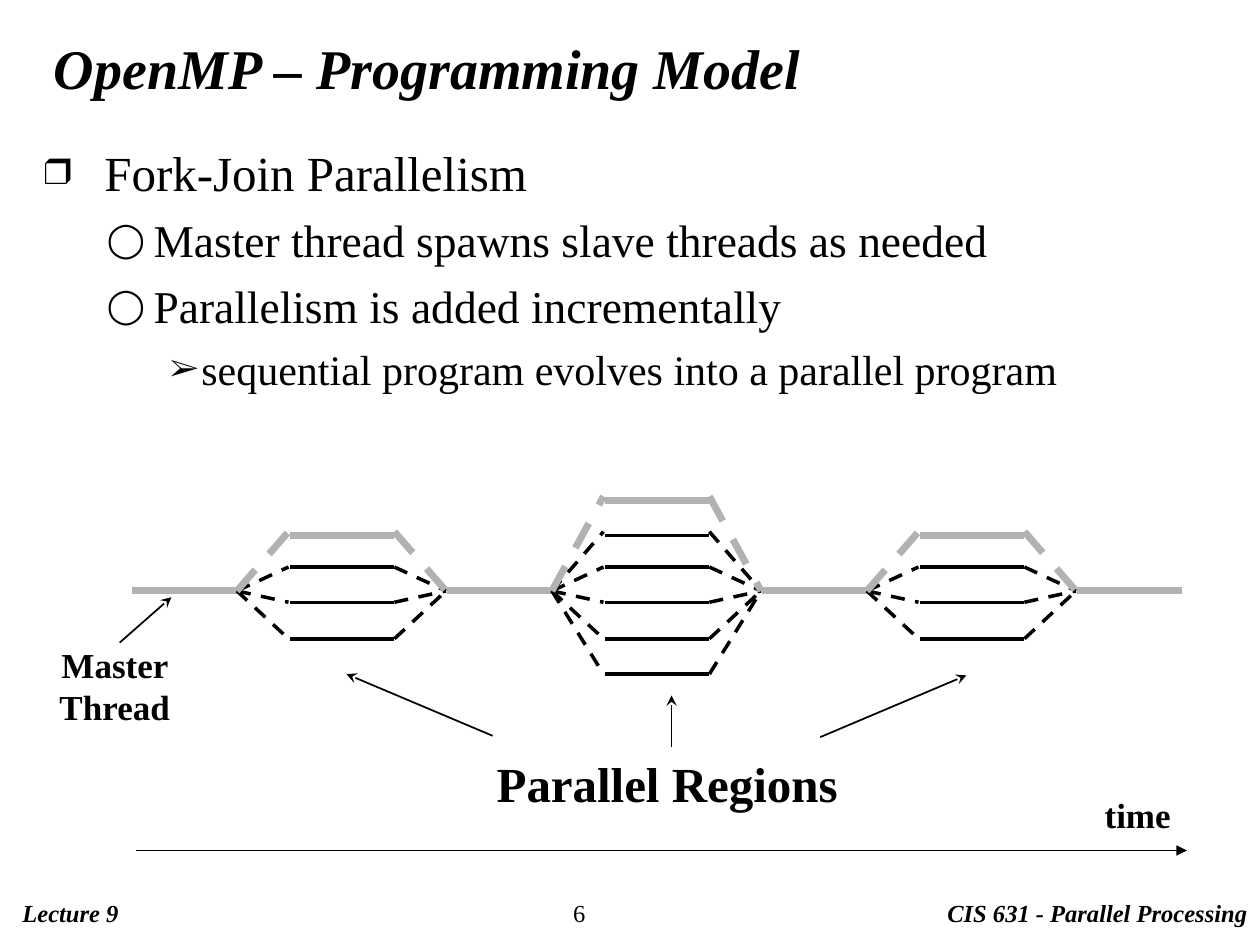
from dataclasses import dataclass

from lxml.etree import SubElement
from pptx import Presentation
from pptx.dml.color import RGBColor
from pptx.enum.dml import MSO_LINE
from pptx.enum.shapes import MSO_CONNECTOR
from pptx.enum.text import MSO_ANCHOR, MSO_AUTO_SIZE, PP_ALIGN
from pptx.oxml.ns import qn
from pptx.util import Pt

PX = 9144  # 100 px to the inch


@dataclass(frozen=True)
class Theme:
    font: str = "Times New Roman"
    ink: RGBColor = RGBColor(0, 0, 0)
    master: RGBColor = RGBColor(0xB2, 0xB2, 0xB2)
    title: int = 32
    heading: int = 28
    point: int = 26
    detail: int = 24
    label: int = 20
    footer: int = 14
    master_line: float = 4
    thread_line: float = 2
    pointer_line: float = 1
    axis_line: float = 0.75


THEME = Theme()


def add_frame(page, box, anchor=MSO_ANCHOR.TOP, grow=False):
    """Add an empty text box and return its text frame."""
    frame = page.shapes.add_textbox(*(n * PX for n in box)).text_frame
    frame.word_wrap = True
    frame.vertical_anchor = anchor
    frame.auto_size = MSO_AUTO_SIZE.SHAPE_TO_FIT_TEXT if grow else MSO_AUTO_SIZE.NONE
    return frame


def write(para, text, size, bold=False, italic=False, align=PP_ALIGN.LEFT, before=0):
    para.alignment = align
    para.space_before = Pt(before)
    span = para.add_run()
    span.text = text
    span.font.name = THEME.font
    span.font.size = Pt(size)
    span.font.bold = bold
    span.font.italic = italic
    span.font.color.rgb = THEME.ink


def set_bullet(para, symbol, margin, hang):
    props = para._p.get_or_add_pPr()
    props.set("marL", str(margin * PX))
    props.set("indent", str(-hang * PX))
    color = SubElement(props, qn("a:buClr"))
    SubElement(color, qn("a:srgbClr"), val=str(THEME.ink))
    SubElement(props, qn("a:buSzPct"), val="75000")
    SubElement(props, qn("a:buFont"), typeface=THEME.font)
    SubElement(props, qn("a:buChar"), char=symbol)


def add_line(page, start, end, width, color=THEME.ink, dashed=False, head=None):
    line = page.shapes.add_connector(
        MSO_CONNECTOR.STRAIGHT, *(n * PX for n in (*start, *end)))
    line.line.color.rgb = color
    line.line.width = Pt(width)
    if dashed:
        line.line.dash_style = MSO_LINE.DASH
    if head:
        SubElement(line.line._get_or_add_ln(), qn("a:tailEnd"), type=head)
    SubElement(line._element.spPr, qn("a:effectLst"))


def add_title(page, box):
    frame = add_frame(page, box, anchor=MSO_ANCHOR.MIDDLE)
    write(frame.paragraphs[0], "OpenMP – Programming Model", THEME.title,
          bold=True, italic=True)


def add_outline(page, box):
    points = [
        (0, "❒", 48, 48, THEME.heading, 7, "Fork-Join Parallelism"),
        (1, "◯", 87, 37, THEME.point, 6.5, "Master thread spawns slave threads as needed"),
        (1, "◯", 87, 37, THEME.point, 6.5, "Parallelism is added incrementally"),
        (2, "➢", 125, 25, THEME.detail, 6,
         "sequential program evolves into a parallel program"),
    ]
    frame = add_frame(page, box)
    for index, (level, symbol, margin, hang, size, before, text) in enumerate(points):
        para = frame.add_paragraph() if index else frame.paragraphs[0]
        para.level = level
        write(para, text, size, before=before)
        set_bullet(para, symbol, margin, hang)


def add_parallel_region(page, left, axis, offsets):
    """Fork and join threads at offsets from the axis; the top one is the master."""
    for offset in reversed(offsets):
        is_master = offset == offsets[0]
        color = THEME.master if is_master else THEME.ink
        width = THEME.master_line if is_master else THEME.thread_line
        level = axis + offset
        tip = level - 3 if offset < -40 else level
        add_line(page, (left + 42, level), (left + 125, level), width, color)
        add_line(page, (left, axis), (left + 41, tip), width, color, dashed=True)
        add_line(page, (left + 125, tip), (left + 166, axis), width, color, dashed=True)


def add_fork_join(page, left, axis):
    """Alternate serial stretches of the master thread with parallel regions."""
    serial, period = 83, 250
    small = [-44, -19, 9, 38]
    large = [-72, *small, 66]
    for index in range(4):
        start = left + index * period
        add_line(page, (start, axis), (start + serial, axis),
                 THEME.master_line, THEME.master)
    for index, offsets in enumerate((small, large, small)):
        add_parallel_region(page, left + serial + index * period, axis, offsets)


def add_label(page, box, text, size, before=0):
    frame = add_frame(page, box, grow=True)
    write(frame.paragraphs[0], text, size, bold=True,
          align=PP_ALIGN.CENTER, before=before)


def add_annotations(page, left, top):
    add_label(page, (left, top, 132, 77), "Master Thread", THEME.label, 12.5)
    add_label(page, (left + 292, top + 87, 425, 57), "Parallel Regions",
              THEME.heading, 17.5)
    pointers = [((70, 4), (111, -32)), ((366, 78), (250, 29)),
                ((508, 87), (508, 46)), ((626, 79), (742, 30))]
    for start, end in pointers:
        add_line(page, (left + start[0], top + start[1]),
                 (left + end[0], top + end[1]), THEME.pointer_line, head="stealth")


def add_time_axis(page, left, top, width):
    add_line(page, (left, top), (left + width, top), THEME.axis_line, head="triangle")
    add_label(page, (left + width - 79, top - 50, 80, 44), "time", THEME.label)


def add_footer(page, top):
    entries = [(8, 734, "Lecture 9", True), (445, 101, "6", False),
               (742, 258, "CIS 631 - Parallel Processing", True)]
    for left, width, text, strong in entries:
        frame = add_frame(page, (left, top, width, 34), grow=True)
        write(frame.paragraphs[0], text, THEME.footer, bold=strong, italic=strong)


def main():
    deck = Presentation()
    deck.slide_width, deck.slide_height = 1000 * PX, 750 * PX
    page = deck.slides.add_slide(deck.slide_layouts[6])
    add_footer(page, 708)
    add_fork_join(page, 105, 469)
    add_annotations(page, 25, 506)
    add_title(page, (33, 28, 942, 50))
    add_outline(page, (25, 108, 958, 600))
    add_time_axis(page, 108, 675, 834)
    deck.save("out.pptx")


if __name__ == "__main__":
    main()
